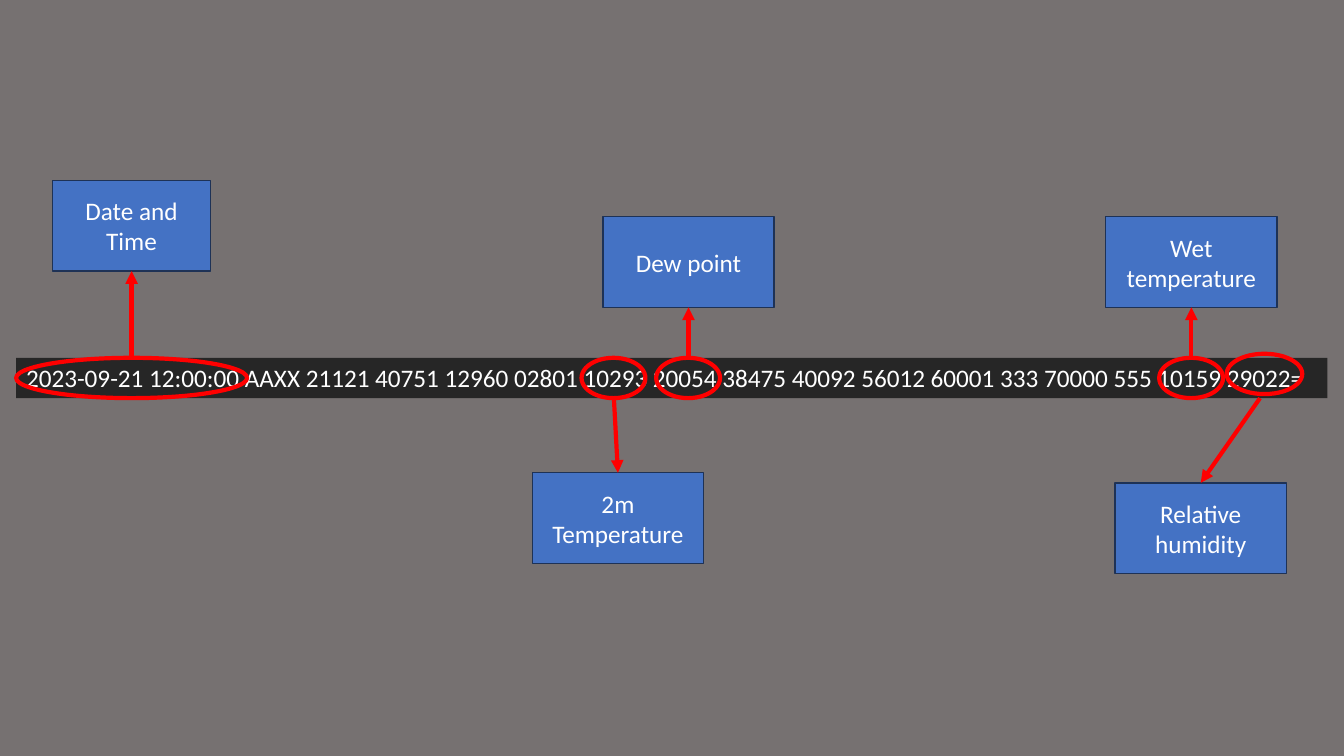
from pptx import Presentation
from pptx.dml.color import RGBColor
from pptx.enum import shapes, text
from pptx.oxml.ns import qn
from pptx.util import Pt
from lxml import etree

GREY = RGBColor(0x76, 0x71, 0x71)
DARK = RGBColor(0x26, 0x26, 0x26)
BLUE = RGBColor(0x44, 0x72, 0xC4)
NAVY = RGBColor(0x1E, 0x32, 0x56)
RED = RGBColor(0xFF, 0, 0)
WHITE = RGBColor(0xFF, 0xFF, 0xFF)

REPORT = ("2023-09-21 12:00:00 AAXX 21121 40751 12960 02801 10293 20054 38475 "
          "40092 56012 60001 333 70000 555 10159 29022=")
BAR = (11.5, 255.6, 936.7, 28.8)
HIGH = 64.8  # label height

# label, ring (left, rise, width), label (left, top, width), arrow start
# Lefts and tops are measured from the bar's corner.
GROUPS = [
    ("2m Temperature", (403.9, 0, 45.6), (368.7, 82.1, 122.4), 427),
    ("Dew point", (457.2, 0, 45.6), (419.1, -100.8, 122.4), 480.3),
    ("Date and Time", (0, 0, 165), (26, -126.7, 113), 82.5),
    ("Wet temperature", (816.5, 0, 45.6), (778.3, -100.8, 122.4), 839.5),
    ("Relative humidity", (864.7, 2.9, 54), (785, 89.3, 122.4), 888.5),
]


def draw(slide, kind, box, fill=None, line=None, width=1):
    shape = slide.shapes.add_shape(kind, *map(Pt, box))
    shape.shadow.inherit = False
    if fill is None:
        shape.fill.background()
    else:
        shape.fill.solid()
        shape.fill.fore_color.rgb = fill
    if line is None:
        shape.line.fill.background()
    else:
        shape.line.color.rgb = line
        shape.line.width = Pt(width)
    return shape


def write(shape, words, align):
    frame = shape.text_frame
    frame.text = words
    frame.word_wrap = True
    para = frame.paragraphs[0]
    para.alignment = align
    font = para.runs[0].font
    font.name, font.size = "Calibri", Pt(18)
    font.color.rgb = WHITE


def arrow(slide, start, end):
    link = slide.shapes.add_connector(
        shapes.MSO_CONNECTOR.STRAIGHT, *map(Pt, start + end))
    link.line.color.rgb = RED
    link.line.width = Pt(3)
    etree.SubElement(link.line._get_or_add_ln(), qn("a:tailEnd"),
                     type="triangle")
    etree.SubElement(link._element.spPr, qn("a:effectLst"))


def strip(slide, box):
    """Draw the dark bar that holds the weather report."""
    bar = draw(slide, shapes.MSO_SHAPE.RECTANGLE, box, DARK)
    write(bar, REPORT, text.PP_ALIGN.LEFT)
    bar.text_frame.vertical_anchor = text.MSO_ANCHOR.TOP


def callout(slide, box, words, ring, label, start):
    """Ring one group of the bar in box and point from it to its label."""
    left, top, _, high = box
    x, rise, wide = ring
    draw(slide, shapes.MSO_SHAPE.OVAL,
         (left + x, top - rise, wide, high), line=RED, width=3)

    x, y, wide = label
    tag = draw(slide, shapes.MSO_SHAPE.RECTANGLE,
               (left + x, top + y, wide, HIGH), BLUE, NAVY)
    write(tag, words, text.PP_ALIGN.CENTER)
    tag.text_frame.vertical_anchor = text.MSO_ANCHOR.MIDDLE

    above = y < 0
    arrow(slide, (left + start, top if above else top + high),
          (left + x + wide / 2, top + y + (HIGH if above else 0)))


def main():
    deck = Presentation()
    deck.slide_width, deck.slide_height = Pt(960), Pt(540)
    slide = deck.slides.add_slide(deck.slide_layouts[6])
    back = slide.background.fill
    back.solid()
    back.fore_color.rgb = GREY
    strip(slide, BAR)
    for group in GROUPS:
        callout(slide, BAR, *group)
    deck.save("out.pptx")


if __name__ == "__main__":
    main()
